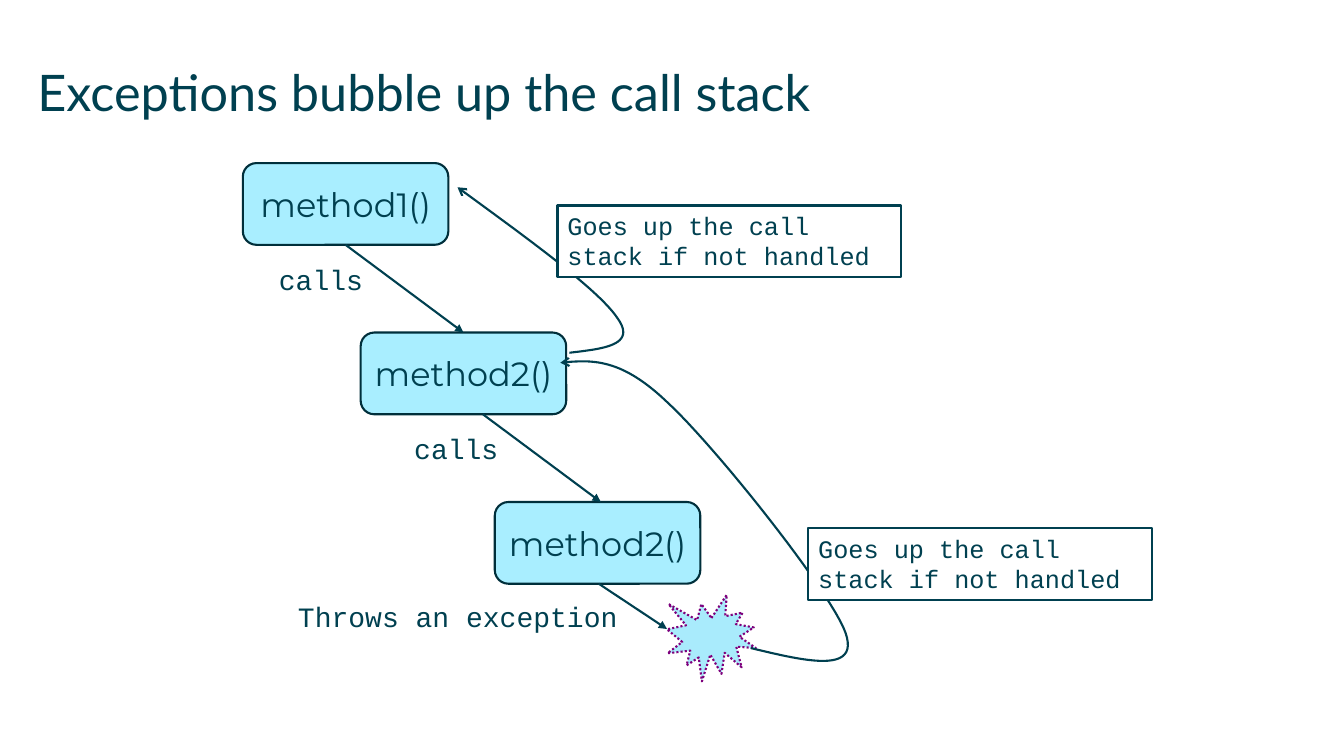
import typing

import lxml.etree
import pptx
import pptx.dml.color
import pptx.enum.dml
import pptx.enum.shapes
import pptx.enum.text
import pptx.oxml.ns
import pptx.util

Cm = pptx.util.Cm
SHAPES = pptx.enum.shapes.MSO_SHAPE
ALIGN = pptx.enum.text.PP_ALIGN
ANCHOR = pptx.enum.text.MSO_ANCHOR
Point = tuple[float, float]

INK, BOX_FILL, BOX_LINE = "004050", "A9EEFF", "002F3B"
BURST_FILL, BURST_LINE, WHITE = "28CFF9", "7E007C", "FFFFFF"
CODE_FONT = "Courier New"
BOX_WIDTH, BOX_HEIGHT, BOX_TOP, BOX_STEP = 5.18, 2.06, 4.11, 4.27
NOTE_TEXT = "Goes up the call stack if not handled"
CURVE_STEPS = 24


class Method(typing.NamedTuple):
    text: str
    left: float


class Label(typing.NamedTuple):
    text: str
    left: float
    top: float
    width: float
    wrap: bool


class Call(typing.NamedTuple):
    start: Point
    end: Point


METHODS = [Method("method1()", 6.12), Method("method2()", 9.09), Method("method2()", 12.47)]
CALLS = [
    Call((8.71, 6.17), (11.68, 8.38)),
    Call((12.17, 10.44), (15.14, 12.65)),
    Call((15.09, 14.71), (16.81, 15.85)),
]
LABELS = [
    Label("calls", 6.78, 6.48, 2.64, False),
    Label("calls", 10.19, 10.75, 2.64, False),
    Label("Throws an exception", 7.26, 14.99, 8.64, True),
]
# Each curve is a start point followed by three points per Bézier segment
CURVES: list[list[Point]] = [
    [(18.92, 16.33), (20.29, 16.66), (21.67, 16.99), (21.31, 15.95), (20.96, 14.94),
     (18.03, 11.25), (16.81, 10.13), (15.62, 8.99), (14.88, 9.07), (14.12, 9.14)],
    [(14.35, 8.89), (15.19, 8.79), (16.05, 8.71), (15.57, 8.03), (15.11, 7.32),
     (13.31, 6.02), (11.53, 4.72)],
]
NOTES: list[Point] = [(20.37, 13.31), (14.05, 5.18)]


def colour(value: str) -> pptx.dml.color.RGBColor:
    return pptx.dml.color.RGBColor.from_string(value)


def apply_format(target: typing.Any, values: dict[str, typing.Any]) -> None:
    for name, value in values.items():
        setattr(target, name, value)


def add_element(parent: typing.Any, tag: str, **attributes: str) -> None:
    lxml.etree.SubElement(parent, pptx.oxml.ns.qn(tag), **attributes)


def write_text(shape: typing.Any, text: str, size: float, font: str,
               alignment: ALIGN = ALIGN.LEFT, anchor: ANCHOR = ANCHOR.TOP,
               wrap: bool = True) -> None:
    frame = shape.text_frame
    frame.text = text
    apply_format(frame, {"word_wrap": wrap, "vertical_anchor": anchor})
    paragraph = frame.paragraphs[0]
    paragraph.alignment = alignment
    apply_format(paragraph.font, {"name": font, "size": pptx.util.Pt(size)})
    paragraph.font.color.rgb = colour(INK)


def set_line(shape: typing.Any, value: str = INK) -> None:
    shape.line.color.rgb = colour(value)
    shape.line.width = pptx.util.Pt(1.5)


def add_arrowhead(shape: typing.Any, kind: str) -> None:
    line = shape.element.spPr.find(pptx.oxml.ns.qn("a:ln"))
    add_element(line, "a:tailEnd", type=kind)


def add_filled(slide: typing.Any, kind: SHAPES, left: float, top: float, width: float,
               height: float, fill: str, line: str) -> typing.Any:
    shape = slide.shapes.add_shape(kind, Cm(left), Cm(top), Cm(width), Cm(height))
    shape.shadow.inherit = False
    shape.fill.solid()
    shape.fill.fore_color.rgb = colour(fill)
    set_line(shape, line)
    return shape


def add_call(slide: typing.Any, call: Call) -> None:
    connector = slide.shapes.add_connector(
        pptx.enum.shapes.MSO_CONNECTOR.STRAIGHT, *map(Cm, call.start + call.end))
    set_line(connector)
    add_arrowhead(connector, "triangle")
    add_element(connector.element.spPr, "a:effectLst")


def curve_points(controls: list[Point]) -> list[tuple[int, int]]:
    points = [(Cm(controls[0][0]), Cm(controls[0][1]))]
    for first in range(0, len(controls) - 1, 3):
        segment = controls[first:first + 4]
        for step in range(1, CURVE_STEPS + 1):
            t = step / CURVE_STEPS
            weights = ((1 - t) ** 3, 3 * t * (1 - t) ** 2, 3 * t ** 2 * (1 - t), t ** 3)
            x, y = (sum(weight * point[axis] for weight, point in zip(weights, segment))
                    for axis in (0, 1))
            points.append((Cm(x), Cm(y)))
    return points


def add_curve(slide: typing.Any, controls: list[Point]) -> None:
    start, *others = curve_points(controls)
    builder = slide.shapes.build_freeform(*start)
    builder.add_line_segments(others, close=False)
    curve = builder.convert_to_shape()
    curve.shadow.inherit = False
    curve.fill.background()
    set_line(curve)
    add_arrowhead(curve, "arrow")


def add_burst(slide: typing.Any) -> None:
    burst = add_filled(slide, SHAPES.EXPLOSION1, 16.81, 14.99, 2.24, 2.18,
                       BURST_FILL, BURST_LINE)
    burst.line.dash_style = pptx.enum.dml.MSO_LINE.ROUND_DOT
    fill_colour = burst.element.spPr.find(
        pptx.oxml.ns.qn("a:solidFill") + "/" + pptx.oxml.ns.qn("a:srgbClr"))
    add_element(fill_colour, "a:alpha", val="40000")


def add_title(slide: typing.Any) -> None:
    title = slide.shapes.title
    apply_format(title, {"left": Cm(0.94), "top": Cm(1.55),
                         "width": Cm(32), "height": Cm(2.24)})
    write_text(title, "Exceptions bubble up the call stack", 36, "Lato")
    margins = ("margin_left", "margin_top", "margin_right", "margin_bottom")
    apply_format(title.text_frame, dict.fromkeys(margins, 0))
    title.text_frame.auto_size = pptx.enum.text.MSO_AUTO_SIZE.NONE


def main() -> None:
    presentation = pptx.Presentation()
    apply_format(presentation, {"slide_width": Cm(33.87), "slide_height": Cm(19.05)})
    slide = presentation.slides.add_slide(presentation.slide_layouts[5])
    add_title(slide)

    # Call stack
    for index, method in enumerate(METHODS):
        box = add_filled(slide, SHAPES.ROUNDED_RECTANGLE, method.left,
                         BOX_TOP + index * BOX_STEP, BOX_WIDTH, BOX_HEIGHT,
                         BOX_FILL, BOX_LINE)
        write_text(box, method.text, 24, "Montserrat", ALIGN.CENTER, ANCHOR.MIDDLE)
    for call in CALLS:
        add_call(slide, call)
    for label in LABELS:
        text_box = slide.shapes.add_textbox(
            Cm(label.left), Cm(label.top), Cm(label.width), Cm(1.12))
        write_text(text_box, label.text, 20, CODE_FONT, wrap=label.wrap)

    # Exception and its way back up
    add_burst(slide)
    for controls in CURVES:
        add_curve(slide, controls)
    for left, top in NOTES:
        note = add_filled(slide, SHAPES.RECTANGLE, left, top, 8.66, 1.8, WHITE, INK)
        write_text(note, NOTE_TEXT, 18, CODE_FONT)

    presentation.save("out.pptx")


if __name__ == "__main__":
    main()
